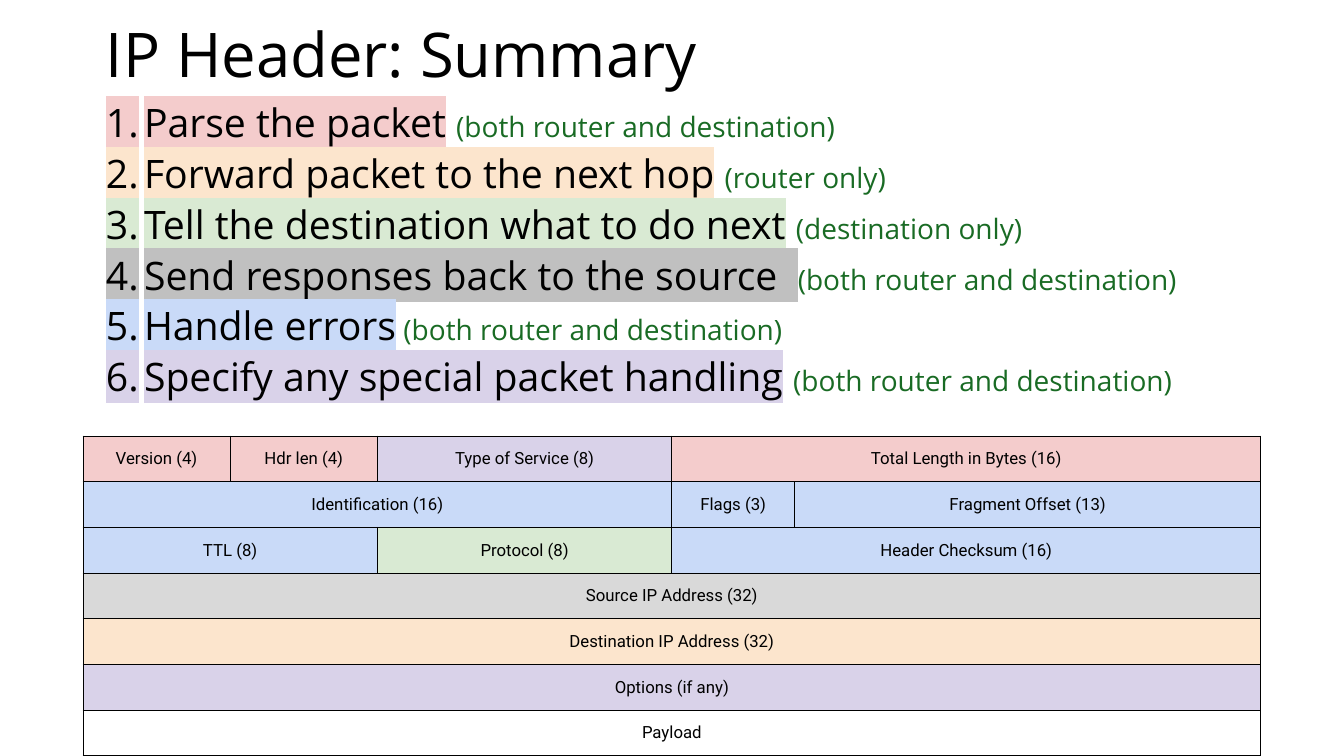
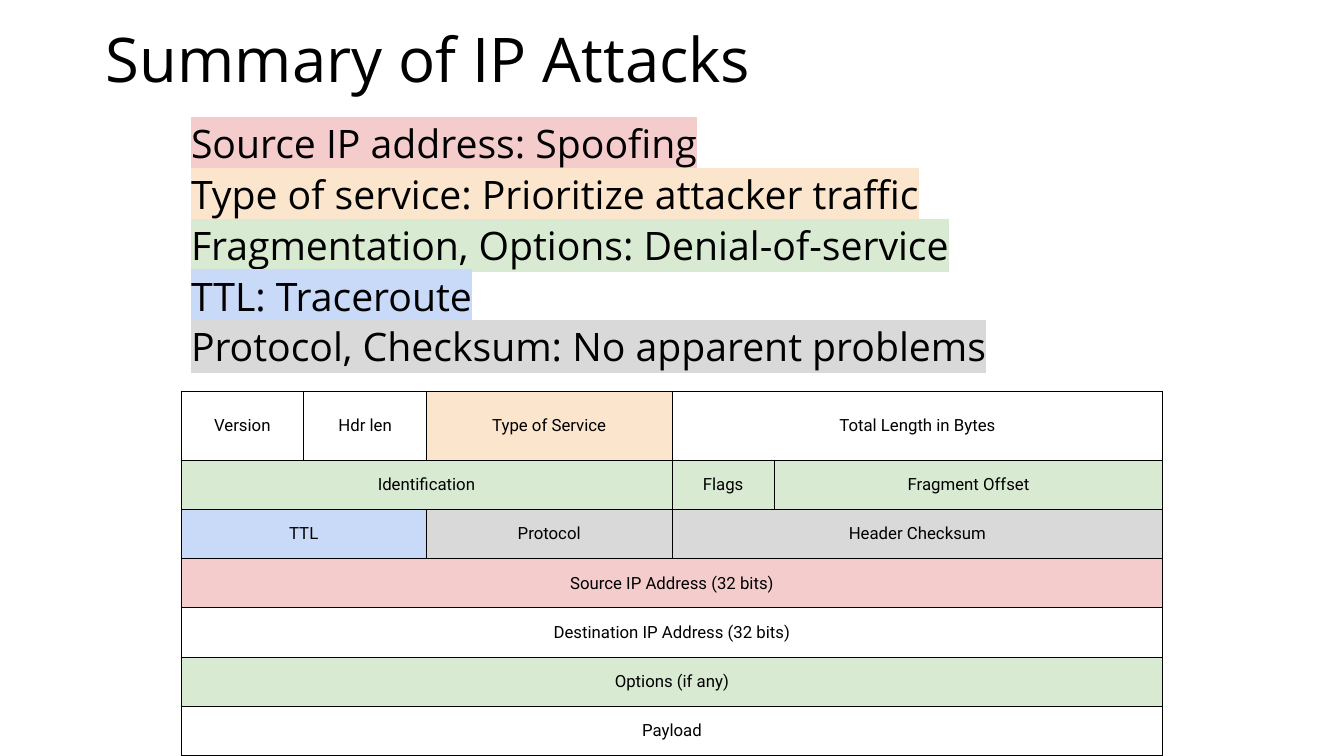
from itertools import accumulate

from pptx import Presentation
from pptx import util as u
from pptx.dml.color import RGBColor
from pptx.enum import text as t
from pptx.oxml import parse_xml
from pptx.oxml.ns import nsdecls, qn

SCALE = 12192000 / 1344
BLACK = RGBColor(0x00, 0x00, 0x00)
GREEN = RGBColor(0x19, 0x6B, 0x24)
ROSE = RGBColor(0xF4, 0xCC, 0xCC)
PEACH = RGBColor(0xFC, 0xE5, 0xCD)
MINT = RGBColor(0xD9, 0xEA, 0xD3)
SKY = RGBColor(0xC9, 0xDA, 0xF8)
LILAC = RGBColor(0xD9, 0xD2, 0xE9)
GRAY = RGBColor(0xD9, 0xD9, 0xD9)
SILVER = RGBColor(0xC0, 0xC0, 0xC0)

SANS = "Open Sans"
LABEL = "Roboto"
COLS = (6, 6, 6, 6, 5, 7, 6, 6)
SPANS = ((1, 1, 2, 4), (4, 1, 3), (2, 2, 4), (8,), (8,), (8,), (8,))
BOTH = "(both router and destination)"

TASKS = (
    ("Parse the packet", ROSE, 28, BOTH),
    ("Forward packet to the next hop", PEACH, 28, "(router only)"),
    ("Tell the destination what to do next", MINT, 28, "(destination only)"),
    ("Send responses back to the source  ", SILVER, None, BOTH),
    ("Handle errors", SKY, 20, BOTH),
    ("Specify any special packet handling", LILAC, 28, BOTH),
)
FIELDS = (
    (("Version (4)", ROSE), ("Hdr len (4)", ROSE),
     ("Type of Service (8)", LILAC), ("Total Length in Bytes (16)", ROSE)),
    (("Identification (16)", SKY), ("Flags (3)", SKY),
     ("Fragment Offset (13)", SKY)),
    (("TTL (8)", SKY), ("Protocol (8)", MINT), ("Header Checksum (16)", SKY)),
    (("Source IP Address (32)", GRAY),),
    (("Destination IP Address (32)", PEACH),),
    (("Options (if any)", LILAC),),
    (("Payload", None),),
)
THREATS = (
    ("Source IP address: Spoofing", ROSE),
    ("Type of service: Prioritize attacker traffic", PEACH),
    ("Fragmentation, Options: Denial-of-service", MINT),
    ("TTL: Traceroute", SKY),
    ("Protocol, Checksum: No apparent problems", GRAY),
)
TARGETS = (
    (("Version", None), ("Hdr len", None),
     ("Type of Service", PEACH), ("Total Length in Bytes", None)),
    (("Identification", MINT), ("Flags", MINT), ("Fragment Offset", MINT)),
    (("TTL", SKY), ("Protocol", GRAY), ("Header Checksum", GRAY)),
    (("Source IP Address (32 bits)", ROSE),),
    (("Destination IP Address (32 bits)", None),),
    (("Options (if any)", MINT),),
    (("Payload", None),),
)


def px(size):
    return u.Emu(round(size * SCALE))


def write(para, words, size=28, font=SANS, color=BLACK, mark=None):
    run = para.add_run()
    run.text = words
    run.font.size = u.Pt(size)
    run.font.name = font
    run.font.color.rgb = color
    if mark is not None:
        fill = run._r.get_or_add_rPr().find(qn("a:solidFill"))
        fill.addnext(parse_xml(
            f'<a:highlight {nsdecls("a")}><a:srgbClr val="{mark}"/></a:highlight>'))


def inset(part, side, top):
    part.margin_left = part.margin_right = px(side)
    part.margin_top = part.margin_bottom = px(top)


def head(deck, words, top, height):
    slide = deck.slides.add_slide(deck.slide_layouts[5])
    title = slide.shapes.title
    title.left, title.top = px(96), px(top)
    title.width, title.height = px(1152), px(height)
    frame = title.text_frame
    frame.word_wrap = True
    frame.auto_size = t.MSO_AUTO_SIZE.NONE
    frame.vertical_anchor = t.MSO_ANCHOR.TOP
    inset(frame, 10, 5)
    para = frame.paragraphs[0]
    para.alignment = t.PP_ALIGN.LEFT
    para.line_spacing = 0.9
    write(para, words, size=44)
    return slide


def lines(slide, box, count):
    frame = slide.shapes.add_textbox(*map(px, box)).text_frame
    frame.word_wrap = True
    inset(frame, 10, 10)
    for _ in range(count - 1):
        frame.add_paragraph()
    for para in frame.paragraphs:
        para.line_spacing = 0.9
        para.space_after = u.Pt(6)
    return frame.paragraphs


def number(para):
    props = para._p.get_or_add_pPr()
    props.set("marL", str(px(50)))
    props.set("indent", str(px(-38)))
    props.append(parse_xml(
        f'<a:buFont {nsdecls("a")} typeface="{SANS}"/>'))
    props.append(parse_xml(
        f'<a:buAutoNum {nsdecls("a")} type="arabicPeriod"/>'))


def border(cell):
    props = cell._tc.get_or_add_tcPr()
    for side in "LRTB":
        props.append(parse_xml(
            f'<a:ln{side} {nsdecls("a")} w="{u.Pt(0.75)}"><a:solidFill>'
            f'<a:srgbClr val="{BLACK}"/></a:solidFill></a:ln{side}>'))


def share(parts, sizes, attr, total):
    for part, size in zip(parts, sizes):
        setattr(part, attr, px(total * size / sum(sizes)))


def grid(slide, box, fields, rows):
    frame = slide.shapes.add_table(len(rows), len(COLS), *map(px, box))
    table = frame.table
    table.first_row = table.horz_banding = False
    share(table.columns, COLS, "width", box[2])
    share(table.rows, rows, "height", box[3])
    for cell in table.iter_cells():
        border(cell)
        cell.fill.background()
    for row, (spans, items) in enumerate(zip(SPANS, fields)):
        for end, span, (words, tint) in zip(accumulate(spans), spans, items):
            cell = table.cell(row, end - span)
            if span > 1:
                cell.merge(table.cell(row, end - 1))
            inset(cell, 3, 3)
            cell.vertical_anchor = t.MSO_ANCHOR.MIDDLE
            if tint is not None:
                cell.fill.solid()
                cell.fill.fore_color.rgb = tint
            para = cell.text_frame.paragraphs[0]
            para.alignment = t.PP_ALIGN.CENTER
            write(para, words, size=12, font=LABEL)


def header(deck):
    slide = head(deck, "IP Header: Summary", 19, 75)
    grid(slide, (83, 436, 1178, 320), FIELDS, (1,) * 7)
    paras = lines(slide, (84, 94, 1177, 320), len(TASKS))
    for para, (task, tint, gap, who) in zip(paras, TASKS):
        number(para)
        write(para, task, mark=tint)
        if gap:
            write(para, " ", size=gap)
        write(para, who, size=20, color=GREEN)


def attacks(deck):
    slide = head(deck, "Summary of IP Attacks", 24, 99)
    paras = lines(slide, (181, 115, 982, 263), len(THREATS))
    for para, (threat, tint) in zip(paras, THREATS):
        write(para, threat, mark=tint)
    grid(slide, (181, 391, 982, 365), TARGETS, (7,) + (5,) * 6)


def main():
    deck = Presentation()
    deck.slide_width, deck.slide_height = px(1344), px(756)
    header(deck)
    attacks(deck)
    deck.save("out.pptx")


if __name__ == "__main__":
    main()
